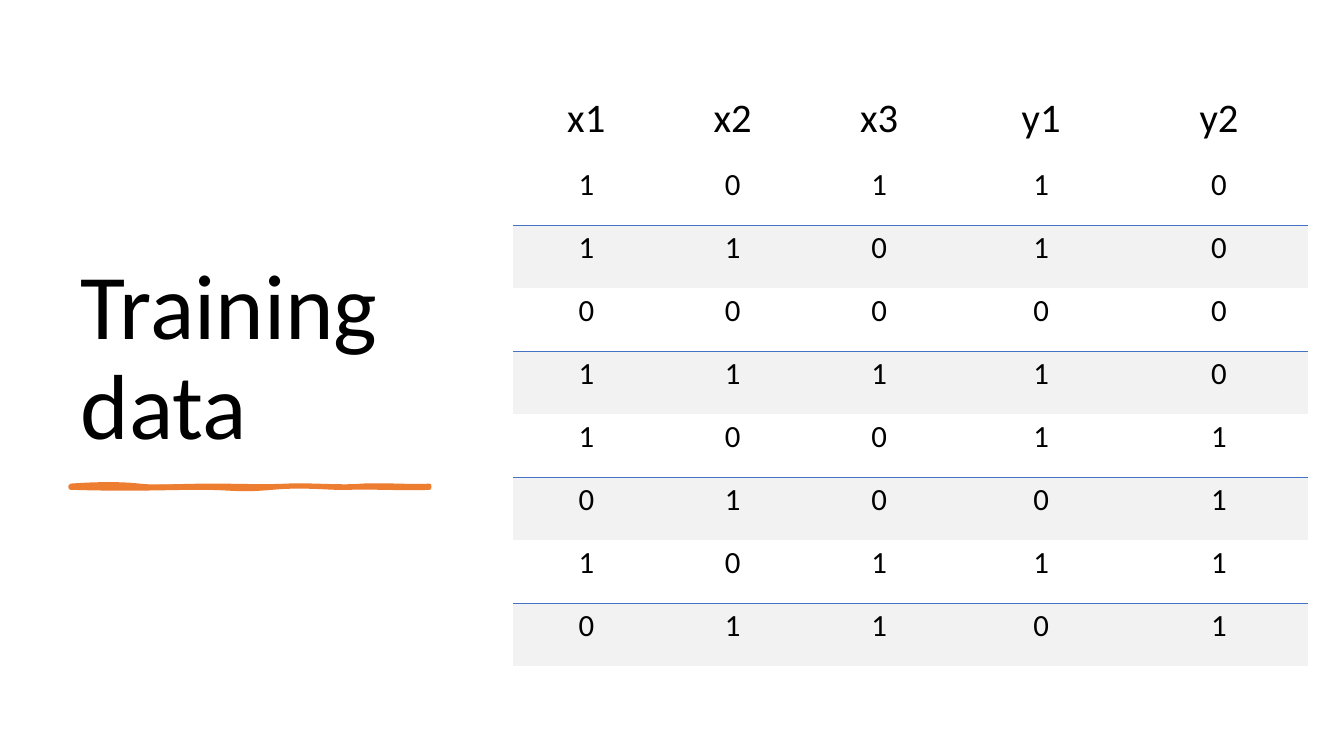
from dataclasses import dataclass

from lxml import etree
from pptx import Presentation
from pptx.dml.color import RGBColor as RGB
from pptx.enum.text import MSO_ANCHOR as ANCHOR, MSO_AUTO_SIZE as AUTO, PP_ALIGN as ALIGN
from pptx.oxml.ns import qn
from pptx.util import Cm, Pt


@dataclass(frozen=True)
class Theme:
    font: str = "Calibri"
    text: RGB = RGB(0, 0, 0)
    accent: RGB = RGB(0xED, 0x7D, 0x31)
    rule: RGB = RGB(0x44, 0x72, 0xC4)
    band: RGB = RGB(0xF2, 0xF2, 0xF2)
    title_size: Pt = Pt(66)
    header_size: Pt = Pt(29)
    body_size: Pt = Pt(22)
    brush_width: Pt = Pt(3)
    rule_width: Pt = Pt(1)


THEME = Theme()
NO_STYLE = "{2D5ABB26-0587-4C30-8999-92F81FD0307C}"

TRAINING_ROWS = [
    ("x1", "x2", "x3", "y1", "y2"),
    (1, 0, 1, 1, 0),
    (1, 1, 0, 1, 0),
    (0, 0, 0, 0, 0),
    (1, 1, 1, 1, 0),
    (1, 0, 0, 1, 1),
    (0, 1, 0, 0, 1),
    (1, 0, 1, 1, 1),
    (0, 1, 1, 0, 1),
]

BRUSH_OUTLINE = [
    (0, 0), (0.69, -0.05), (1.3, -0.05), (1.73, 0), (2.16, 0.05), (2.72, 0), (3.53, 0),
    (4.34, 0), (4.83, 0.03), (5.44, 0), (6.05, -0.03), (6.83, 0.05), (7.34, 0),
    (7.85, -0.03), (8.69, 0.03), (9.04, 0), (9.04, 0.03), (9.04, 0.05), (9.04, 0.05),
    (8.59, 0.08), (7.47, 0.03), (7.06, 0.05), (6.65, 0.08), (5.94, -0.03), (5.08, 0.05),
    (4.19, 0.13), (4.09, 0.05), (3.28, 0.05), (2.44, 0.05), (1.57, 0.1), (0, 0.05),
    (0, 0.05), (0, 0.03), (0, 0),
]
BRUSH_BODY = [
    (0, 0), (0.81, 0.05), (1.02, 0.03), (1.73, 0), (2.44, -0.03), (2.51, -0.05), (3.28, 0),
    (4.01, 0.05), (4.85, 0.03), (5.26, 0), (5.66, -0.03), (6.53, 0.08), (6.96, 0),
    (7.42, -0.05), (8.31, 0.1), (9.04, 0), (9.04, 0.03), (9.04, 0.03), (9.04, 0.05),
    (8.69, 0.05), (7.67, 0.08), (7.24, 0.05), (6.83, 0), (6.07, 0.05), (5.26, 0.05),
    (4.42, 0.05), (4.32, 0.03), (3.71, 0.05), (3.12, 0.08), (2.77, 0.03), (1.91, 0.05),
    (1.04, 0.08), (0.56, 0.05), (0, 0.05), (0, 0.03), (0, 0.03), (0, 0),
]


def style_paragraph(p, size, align):
    p.alignment = align
    p.font.name = THEME.font
    p.font.size = size
    p.font.color.rgb = THEME.text


def add_title(slide, text, left, top, width, height):
    sp = slide.shapes.title
    sp.left, sp.top, sp.width, sp.height = left, top, width, height
    tf = sp.text_frame
    tf.text = text
    tf.word_wrap = True
    tf.auto_size = AUTO.NONE
    tf.vertical_anchor = ANCHOR.BOTTOM
    p = tf.paragraphs[0]
    p.line_spacing = 0.9
    style_paragraph(p, THEME.title_size, ALIGN.LEFT)


def add_curve(outlines, points, width, height, **paint):
    curve = etree.SubElement(outlines, qn("a:path"), w=str(width), h=str(height), **paint)
    segments = [("a:moveTo", points[:1])]
    segments += [("a:cubicBezTo", points[i:i + 3]) for i in range(1, len(points), 3)]
    for tag, segment in segments:
        command = etree.SubElement(curve, qn(tag))
        for x, y in segment:
            etree.SubElement(command, qn("a:pt"), x=str(Cm(x)), y=str(Cm(y)))
    etree.SubElement(curve, qn("a:close"))


def add_brush_underline(slide, left, top, width, height):
    builder = slide.shapes.build_freeform(0, 0)
    builder.add_line_segments([(width, 0), (width, height), (0, height)], close=True)
    sp = builder.convert_to_shape(left, top)
    sp.shadow.inherit = False
    sp.fill.solid()
    sp.fill.fore_color.rgb = THEME.accent
    sp.line.color.rgb = THEME.accent
    sp.line.width = THEME.brush_width
    outlines = next(sp._element.iter(qn("a:pathLst")))
    outlines.remove(outlines[0])
    add_curve(outlines, BRUSH_OUTLINE, width, height, fill="none")
    add_curve(outlines, BRUSH_BODY, width, height, stroke="0")


def set_border(cell, position, tag, visible):
    ln = etree.Element(qn(tag), w=str(THEME.rule_width if visible else 0))
    if visible:
        fill = etree.SubElement(ln, qn("a:solidFill"))
        etree.SubElement(fill, qn("a:srgbClr"), val=str(THEME.rule))
    else:
        etree.SubElement(ln, qn("a:noFill"))
    cell._tc.get_or_add_tcPr().insert(position, ln)


def format_cell(cell, value, is_header, is_banded):
    cell.text = str(value)
    cell.margin_left = cell.margin_right = Cm(0.24)
    cell.margin_top, cell.margin_bottom = Cm(0.04), Cm(0.47)
    cell.vertical_anchor = ANCHOR.BOTTOM if is_header else ANCHOR.MIDDLE
    size = THEME.header_size if is_header else THEME.body_size
    style_paragraph(cell.text_frame.paragraphs[0], size, ALIGN.CENTER)
    set_border(cell, 0, "a:lnT", is_banded)
    set_border(cell, 1, "a:lnB", not is_header and not is_banded)
    if is_banded:
        cell.fill.solid()
        cell.fill.fore_color.rgb = THEME.band
    else:
        cell.fill.background()


def add_training_table(slide, rows, left, top, width, height):
    table = slide.shapes.add_table(len(rows), len(rows[0]), left, top, width, height).table
    table._tbl.tblPr.find(qn("a:tableStyleId")).text = NO_STYLE
    table.horz_banding = False
    input_width, header_height = Cm(3.69), Cm(1.88)
    for i, column in enumerate(table.columns):
        column.width = input_width if i < 3 else (width - 3 * input_width) // 2
    for i, values in enumerate(rows):
        is_header = i == 0
        table.rows[i].height = (header_height if is_header
                                else (height - header_height) // (len(rows) - 1))
        for j, value in enumerate(values):
            format_cell(table.cell(i, j), value, is_header, not is_header and i % 2 == 0)


def build_training_slide(prs):
    slide = prs.slides.add_slide(prs.slide_layouts[5])
    add_title(slide, "Training data", Cm(1.78), Cm(1.78), Cm(9.93), Cm(9.93))
    add_brush_underline(slide, Cm(1.78), Cm(12.24), Cm(9.04), Cm(0.05))
    add_training_table(slide, TRAINING_ROWS, Cm(12.93), Cm(2.21), Cm(20.03), Cm(14.58))


def main():
    prs = Presentation()
    prs.slide_width, prs.slide_height = Cm(33.87), Cm(19.05)
    build_training_slide(prs)
    prs.save("out.pptx")


if __name__ == "__main__":
    main()
